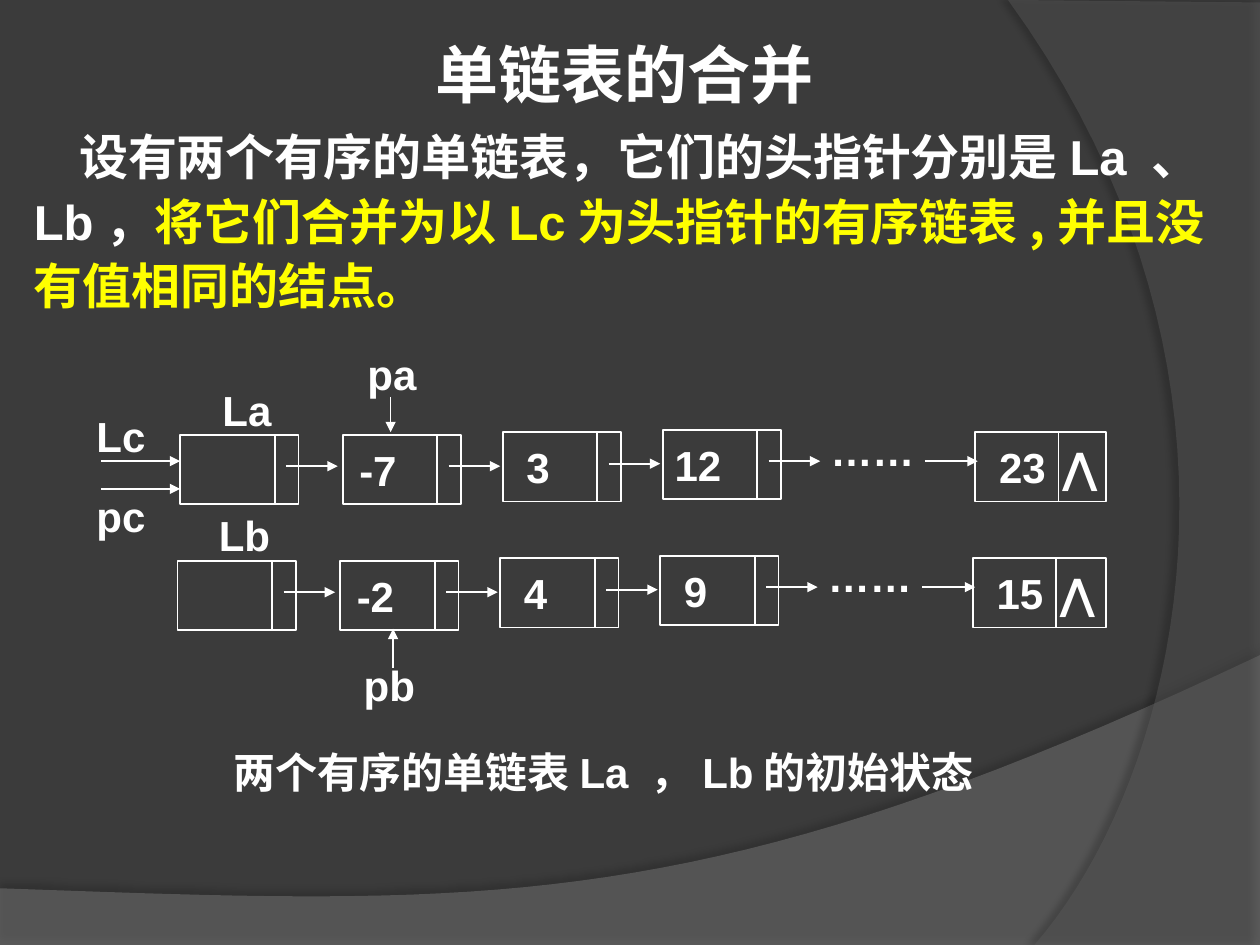
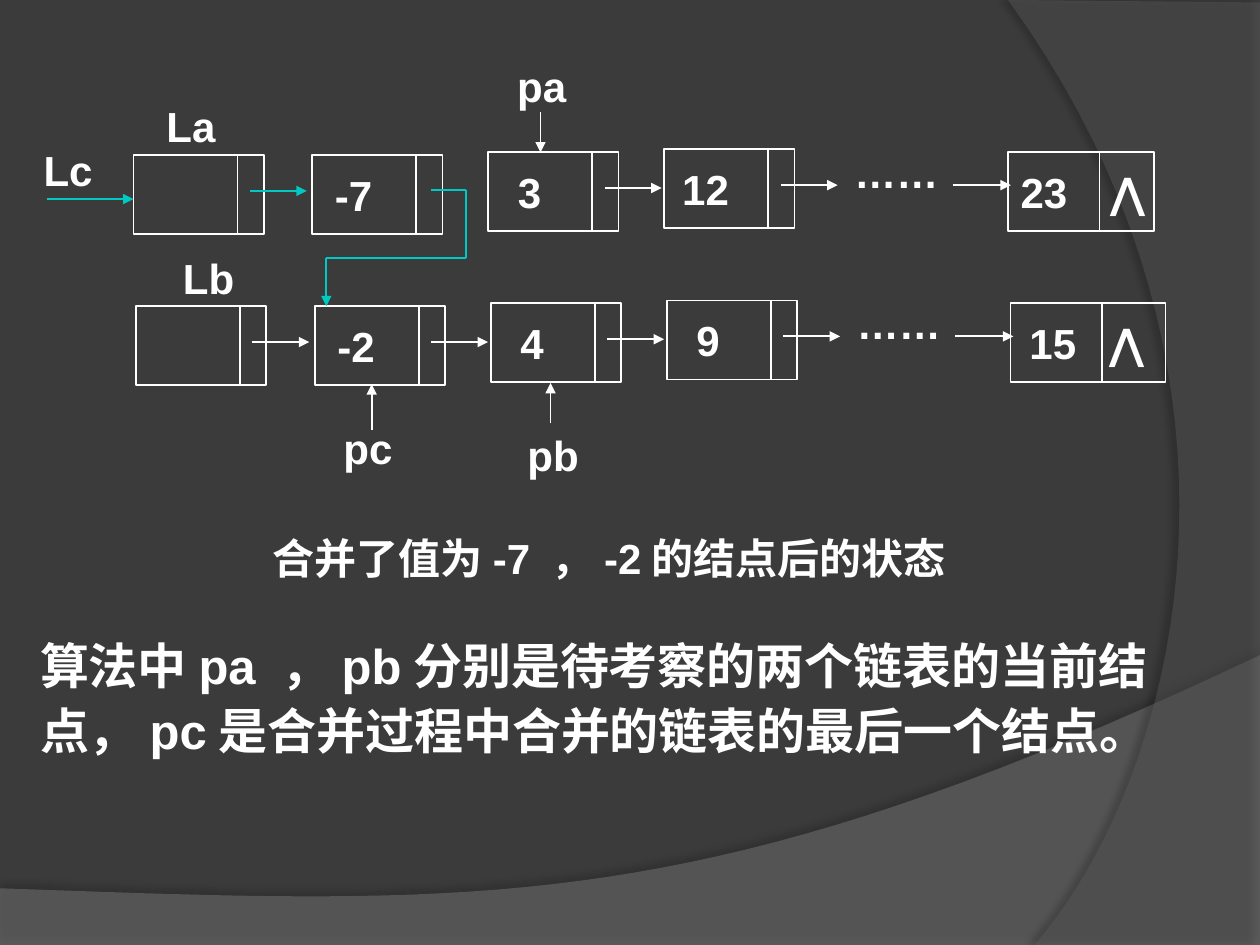
from dataclasses import dataclass

from lxml import etree
from pptx import Presentation
from pptx.dml.color import RGBColor
from pptx.enum.shapes import MSO_CONNECTOR, MSO_SHAPE
from pptx.enum.text import MSO_ANCHOR, PP_ALIGN
from pptx.oxml.ns import qn
from pptx.util import Inches, Pt

STRAIGHT = MSO_CONNECTOR.STRAIGHT
RECT = MSO_SHAPE.RECTANGLE
TOP, MIDDLE = MSO_ANCHOR.TOP, MSO_ANCHOR.MIDDLE
LEFT, CENTER = PP_ALIGN.LEFT, PP_ALIGN.CENTER

COLS, ROWS = 100, 75
WHITE, YELLOW, TEAL = "FFFFFF", "FFFF00", "00C8C3"
BACKDROP = "3B3B3B"
ARIAL, CJK = "Arial", "Noto Sans CJK SC"
LABEL_SIZE, PROSE_SIZE, TITLE_SIZE = 24, 28, 36
VALUE_INSET, DOTS_INSET = 3.8, 1.9
NODE_COLS = (0, 12.9, 25.6, 38.3)
NODE_RISES = (0, 0, -0.2, -0.4)

prs = Presentation()
prs.slide_width, prs.slide_height = Inches(10), Inches(7.5)
CELL = prs.slide_width / COLS


@dataclass(frozen=True)
class Span:
    text: str
    font: str = ARIAL
    color: str = WHITE


@dataclass(frozen=True)
class Band:
    start: tuple
    edges: tuple
    fill: str
    opacity: int
    shade: int
    blur: float
    direction: int


@dataclass(frozen=True)
class Label:
    text: str
    col: float
    row: float
    width: float
    height: float


@dataclass(frozen=True)
class Line:
    x1: float
    y1: float
    x2: float
    y2: float
    color: str = WHITE
    arrow: bool = True


@dataclass(frozen=True)
class Chain:
    col: float
    row: float
    scale_x: float
    scale_y: float
    values: tuple
    last: str
    last_width: float
    last_inset: float
    mark_at: float
    arrows: tuple = (WHITE,) * 4


BANDS = (
    Band((0, 70.5), ((0, 75), (100, 75), (100, 52),
                     (55.9, 72.9, 39.1, 71.9, 0, 70.5)),
         "7F7F7F", 45, 35, 4, 270),
    Band((100, 0.2), ((100, 75), (82.1, 75),
                      (93.5, 61.9, 101.8, 30, 80, 0)),
         "5E5E5E", 40, 45, 4, 180),
)


def rgb(color: str) -> RGBColor:
    return RGBColor.from_string(color)


def grid(n: float) -> int:
    return round(n * CELL)


def bezier(p0: tuple, c: tuple, steps: int = 40) -> list:
    points = []
    for i in range(1, steps + 1):
        t = i / steps
        u = 1 - t
        points.append(tuple(
            u**3 * p0[k] + 3 * u * u * t * c[k]
            + 3 * u * t * t * c[k + 2] + t**3 * c[k + 4]
            for k in (0, 1)))
    return points


def sub(parent, tag: str, **attrs):
    return etree.SubElement(parent, qn(tag),
                            {k: str(v) for k, v in attrs.items()})


def draw_band(s, band: Band) -> None:
    points = [band.start]
    for edge in band.edges:
        points += [edge] if len(edge) == 2 else bezier(points[-1], edge)
    cells = [(grid(x), grid(y)) for x, y in points]
    builder = s.shapes.build_freeform(*cells[0], scale=1.0)
    builder.add_line_segments(cells[1:], close=True)
    sp = builder.convert_to_shape()
    sp.fill.solid()
    sp.fill.fore_color.rgb = rgb(band.fill)
    sp.line.fill.background()
    sp.shadow.inherit = False
    pr = sp.element.spPr
    sub(pr.find(qn("a:solidFill")).find(qn("a:srgbClr")), "a:alpha",
        val=band.opacity * 1000)
    shadow = sub(pr.find(qn("a:effectLst")), "a:outerShdw",
                 blurRad=Pt(band.blur), dist=Pt(4),
                 dir=band.direction * 60000, algn="ctr", rotWithShape=0)
    sub(sub(shadow, "a:srgbClr", val="000000"), "a:alpha",
        val=band.shade * 1000)


def write(p, spans: list, size: float, align=CENTER) -> None:
    p.alignment = align
    for span in spans:
        r = p.add_run()
        r.text = span.text
        r.font.size, r.font.bold = Pt(size), True
        r.font.name = span.font
        r.font.color.rgb = rgb(span.color)
        if any(ch >= "\u3000" for ch in span.text):
            sub(r.font._element, "a:ea", typeface=CJK)


def set_frame(tf, wrap: bool, anchor, left: float = 1,
              right: float = 1) -> None:
    tf.word_wrap, tf.vertical_anchor = wrap, anchor
    tf.margin_left, tf.margin_right = grid(left), grid(right)
    tf.margin_top = tf.margin_bottom = grid(0.5)


def add_text(s, col: float, row: float, width: float, height: float,
             anchor=MIDDLE, wrap: bool = False, left: float = 0,
             right: float = 0):
    sp = s.shapes.add_textbox(*map(grid, (col, row, width, height)))
    set_frame(sp.text_frame, wrap, anchor, left, right)
    return sp.text_frame


def draw_label(s, label: Label, right: float = 0) -> None:
    tf = add_text(s, label.col, label.row, label.width, label.height,
                  right=right)
    write(tf.paragraphs[0], [Span(label.text)], LABEL_SIZE)


def draw_line(s, line: Line) -> None:
    ends = (line.x1, line.y1, line.x2, line.y2)
    cx = s.shapes.add_connector(STRAIGHT, *map(grid, ends))
    cx.line.color.rgb = rgb(line.color)
    cx.line.width = Pt(1)
    pr = cx._element.spPr
    if line.arrow:
        sub(pr.find(qn("a:ln")), "a:tailEnd", type="triangle")
    sub(pr, "a:effectLst")


def draw_box(s, col: float, row: float, width: float, height: float,
             divider: float):
    sp = s.shapes.add_shape(RECT, *map(grid, (col, row, width, height)))
    sp.fill.background()
    sp.line.color.rgb = rgb(WHITE)
    sp.line.width = Pt(1)
    sp.shadow.inherit = False
    x = col + divider
    draw_line(s, Line(x, row, x, row + height, arrow=False))
    return sp.text_frame


def draw_chain(s, chain: Chain) -> None:
    def x(n: float) -> float:
        return chain.col + n * chain.scale_x

    def y(n: float) -> float:
        return chain.row + n * chain.scale_y

    width, height = 9.4 * chain.scale_x, 5.5 * chain.scale_y
    for col, rise, value, color in zip(NODE_COLS, NODE_RISES,
                                       chain.values, chain.arrows):
        tf = draw_box(s, x(col), y(rise), width, height,
                      7.5 * chain.scale_x)
        if value:
            set_frame(tf, False, MIDDLE, 0, VALUE_INSET)
            write(tf.paragraphs[0], [Span(value)], LABEL_SIZE)
        if color:
            level = y(rise + 2.5)
            draw_line(s, Line(x(col + 8.4), level, x(col + 12.5), level,
                              color))
    draw_label(s, Label("……", x(51.2), y(-1.6), width, height), DOTS_INSET)
    draw_line(s, Line(x(59.1), y(2.1), x(63.3), y(2.1)))
    tf = draw_box(s, x(63.1), y(-0.2), chain.last_width, height,
                  6.6 * chain.scale_x)
    set_frame(tf, True, MIDDLE, chain.last_inset, 0)
    p = tf.paragraphs[0]
    write(p, [Span(chain.last + "\t⋀")], LABEL_SIZE, LEFT)
    tabs = sub(p._p.get_or_add_pPr(), "a:tabLst")
    sub(tabs, "a:tab", pos=grid(chain.mark_at - chain.last_inset), algn="l")


def draw_prose(p, spans: list, size: float, align=LEFT) -> None:
    write(p, spans, size, align)
    p.line_spacing = 1.1
    p.space_before = Pt(size * 0.2)


def draw_caption(s, text: str, col: float, row: float, width: float,
                 height: float) -> None:
    tf = add_text(s, col, row, width, height, wrap=True, left=1, right=1)
    write(tf.paragraphs[0], [Span(text)], LABEL_SIZE)


def new_slide(chains: tuple, labels: tuple, lines: tuple):
    s = prs.slides.add_slide(prs.slide_layouts[6])
    s.background.fill.solid()
    s.background.fill.fore_color.rgb = rgb(BACKDROP)
    for band in BANDS:
        draw_band(s, band)
    for chain in chains:
        draw_chain(s, chain)
    for label in labels:
        draw_label(s, label)
    for line in lines:
        draw_line(s, line)
    return s


LA, LB = ("", "-7", "3", "12"), ("", "-2", "4", "9")

s = new_slide(
    (Chain(14.3, 34.5, 1, 1, LA, "23", 10.4, 1.9, 6.9),
     Chain(14.1, 44.5, 1, 1, LB, "15", 10.6, 1.9, 6.9)),
    (Label("La", 15, 30, 9.2, 5), Label("Lb", 14.8, 39.9, 9.2, 5),
     Label("Lc", 6.7, 32.5, 5.8, 4.2), Label("pc", 6.7, 38.8, 5.8, 4.2),
     Label("pa", 28.2, 27.3, 5.8, 4.7), Label("pb", 28, 52.2, 5.8, 4.2)),
    (Line(8, 36.6, 14.3, 36.6), Line(8, 38.8, 14.3, 38.8),
     Line(31, 31.5, 31, 34.3), Line(31.2, 53, 31.2, 49.9)),
)
tf = add_text(s, 1.7, 1.7, 95.8, 24.2, TOP, True, 1, 1)
draw_prose(tf.paragraphs[0], [Span("单链表的合并", CJK)], TITLE_SIZE, CENTER)
p = tf.add_paragraph()
draw_prose(p, [
    Span("设有两个有序的单链表，它们的头指针分别是", CJK),
    Span("La 、 Lb"),
    Span("，", CJK),
    Span("将它们合并为以", CJK, YELLOW),
    Span("Lc为", ARIAL, YELLOW),
    Span("头指针的有序链表,并且没有值相同的结点。", CJK, YELLOW),
], PROSE_SIZE)
p._p.get_or_add_pPr().set("indent", str(grid(3.6)))
draw_caption(s, "两个有序的单链表La ，Lb的初始状态", 9.3, 58.8, 77.2, 4.9)

s = new_slide(
    (Chain(10.6, 12.3, 1.1, 1.14, LA, "23", 11.6, 1, 8.1,
           (TEAL, None, WHITE, WHITE)),
     Chain(10.8, 24.3, 1.1, 1.14, LB, "15", 12.3, 1.5, 7.8)),
    (Label("La", 11.4, 7.1, 7.5, 5.7), Label("Lb", 11.5, 19.2, 10.1, 5.7),
     Label("Lc", 2.2, 11.1, 6.4, 4.8), Label("pc", 26, 33.1, 6.4, 4.8),
     Label("pa", 39.8, 4.1, 6.4, 5.4), Label("pb", 40.7, 33.4, 6.4, 5.4)),
    (Line(3.7, 15.8, 10.6, 15.8, TEAL),
     Line(34.2, 15.1, 37, 15.1, TEAL, False),
     Line(37, 15.1, 37, 20.5, TEAL, False),
     Line(37, 20.5, 25.9, 20.5, TEAL, False),
     Line(25.9, 20.5, 25.9, 24.3, TEAL),
     Line(42.9, 8.9, 42.9, 12.1), Line(29.5, 34.1, 29.5, 30.5),
     Line(43.7, 33.6, 43.7, 30.4)),
)
draw_caption(s, "合并了值为-7 ，-2的结点后的状态", 14.5, 41.6, 67.7, 5.4)
tf = add_text(s, 2.2, 49.5, 93.6, 18.1, TOP, True, 1, 1)
draw_prose(tf.paragraphs[0], [Span(
    "算法中pa ，pb分别是待考察的两个链表的当前结点，"
    "pc是合并过程中合并的链表的最后一个结点。")], PROSE_SIZE)

prs.save("out.pptx")
